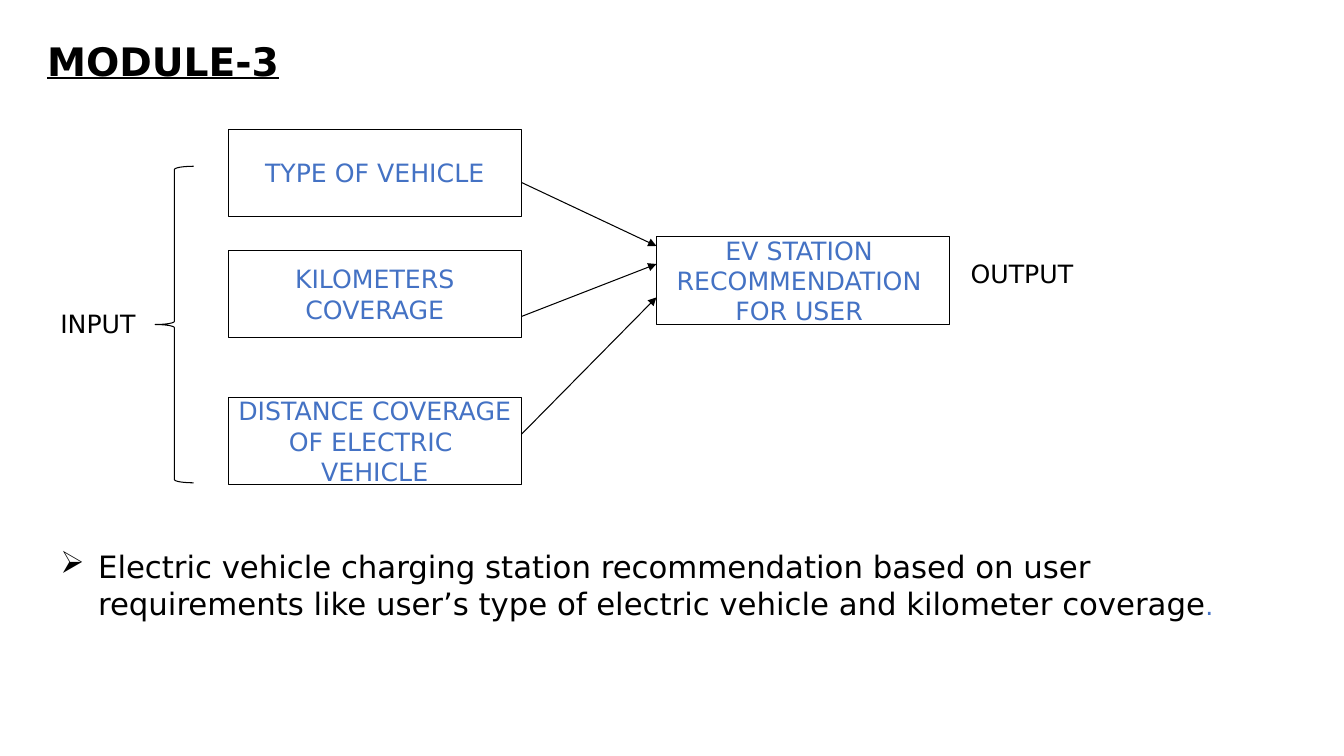
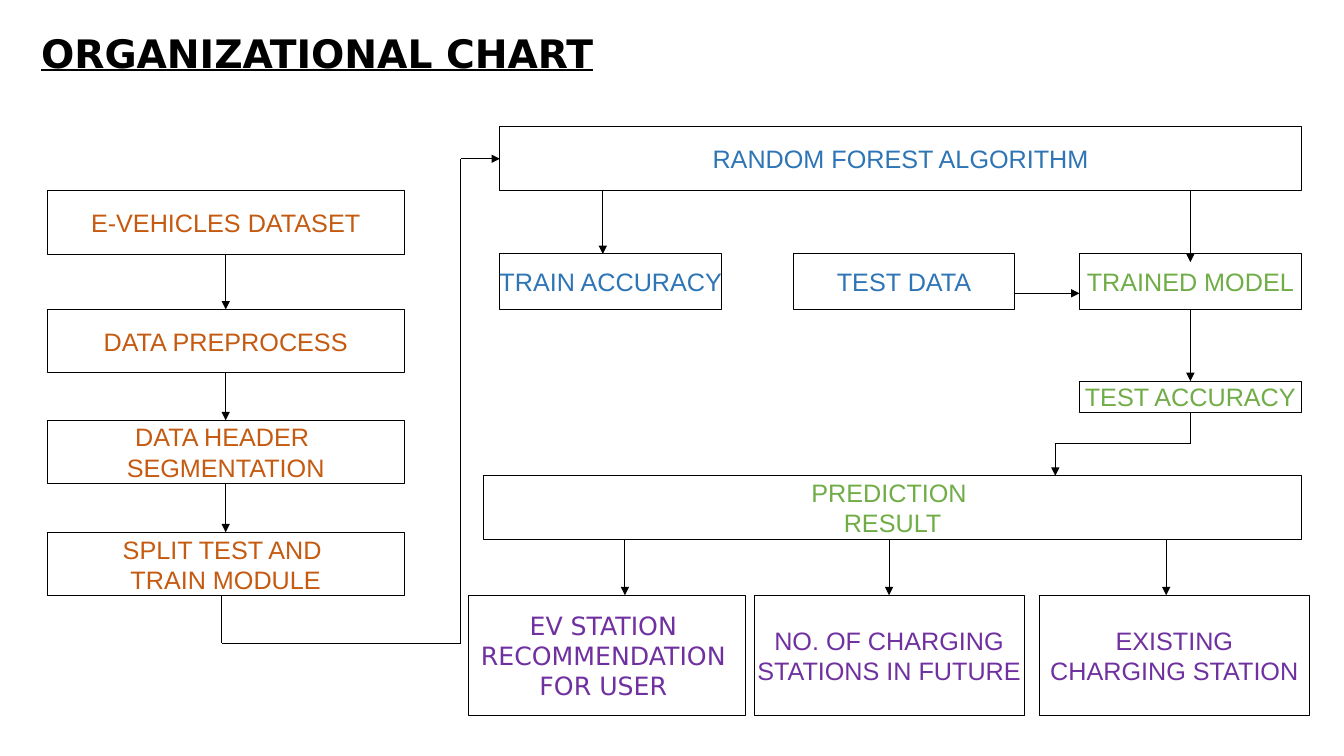
from itertools import pairwise

from lxml.etree import SubElement
from pptx import Presentation
from pptx.dml.color import RGBColor
from pptx.enum.shapes import MSO_CONNECTOR as Link, MSO_SHAPE as Preset
from pptx.enum.text import MSO_ANCHOR as Anchor, PP_ALIGN as Align
from pptx.oxml.ns import qn
from pptx.util import Pt

BLACK, WHITE = "000000", "FFFFFF"
BLUE, AZURE, ORANGE, GREEN, PURPLE = "4472C4", "2E75B6", "C55A11", "70AD47", "7030A0"
SANS, ARIAL = "DejaVu Sans", "Arial"
TITLE = {"name": SANS, "size": Pt(28), "bold": True, "underline": True}
LABEL = {"name": SANS, "size": Pt(18)}
CHART = {"name": ARIAL, "size": Pt(18)}
BODY = {"name": SANS, "size": Pt(22)}
TOP, LEFT, BOTTOM, RIGHT = range(4)


def rgb(code):
    """Turn a hex string into a colour."""
    return RGBColor.from_string(code)


def write(paragraph, words, style, colour=BLACK):
    """Add one formatted run to a paragraph."""
    run = paragraph.add_run()
    run.text = words
    for attribute, value in style.items():
        setattr(run.font, attribute, value)
    run.font.color.rgb = rgb(colour)


def add_text(slide, place, words, style):
    """Add a wrapping text box and return its paragraph."""
    frame = slide.shapes.add_textbox(*map(Pt, place)).text_frame
    frame.word_wrap = True
    write(frame.paragraphs[0], words, style)
    return frame.paragraphs[0]


def add_bullet(paragraph, mark, indent):
    """Give a paragraph a hanging bullet."""
    properties = paragraph._p.get_or_add_pPr()
    properties.set("marL", str(Pt(indent)))
    properties.set("indent", str(-Pt(indent)))
    SubElement(properties, qn("a:buChar"), char=mark)


def outline(slide, preset, place):
    """Add a preset shape with a thin black line and no shadow."""
    shape = slide.shapes.add_shape(preset, *map(Pt, place))
    shape.shadow.inherit = False
    shape.line.color.rgb = rgb(BLACK)
    shape.line.width = Pt(0.75)
    return shape


def add_box(slide, place, lines, colour, style=CHART):
    """Add a white box with centred lines of text."""
    box = outline(slide, Preset.RECTANGLE, place)
    box.fill.solid()
    box.fill.fore_color.rgb = rgb(WHITE)
    frame = box.text_frame
    frame.word_wrap = False
    frame.vertical_anchor = Anchor.MIDDLE
    for index, words in enumerate(lines.split("\n")):
        paragraph = frame.add_paragraph() if index else frame.paragraphs[0]
        paragraph.alignment = Align.CENTER
        write(paragraph, words, style, colour)
    return box


def add_route(slide, *stops):
    """Link points or (box, side) pairs with lines, ending in an arrowhead."""
    for start, end in pairwise(stops):
        joins_start, joins_end = (hasattr(stop[0], "text_frame") for stop in (start, end))
        begin = end if joins_start else start
        finish = begin if joins_end else end
        if joins_start and joins_end:
            begin = finish = (0, 0)
        link = slide.shapes.add_connector(Link.STRAIGHT, *map(Pt, (*begin, *finish)))
        if joins_start:
            link.begin_connect(*start)
        if joins_end:
            link.end_connect(*end)
        link.line.color.rgb = rgb(BLACK)
        link.line.width = Pt(0.75)
        SubElement(link._element.spPr, qn("a:effectLst"))
    SubElement(link.line._get_or_add_ln(), qn("a:tailEnd"), type="triangle")


def build_module(slide):
    """Draw the inputs that lead to a station recommendation."""
    add_text(slide, (26.6, 23, 907, 62.6), "MODULE-3", TITLE)
    width, height, input_left, output_left = 209.5, 62.6, 162.9, 468.9
    inputs = (
        (92.2, "TYPE OF VEHICLE", 130.3, 175.7),
        (178.6, "KILOMETERS\nCOVERAGE", 226.1, 188.6),
        (283.7, "DISTANCE COVERAGE\nOF ELECTRIC \nVEHICLE", 310.3, 212.4),
    )
    add_box(slide, (output_left, 169.2, width, height),
            "EV STATION \nRECOMMENDATION \nFOR USER ", BLUE, LABEL)
    for top, lines, exit_y, entry_y in inputs:
        add_box(slide, (input_left, top, width, height), lines, BLUE, LABEL)
        add_route(slide, (input_left + width, exit_y), (output_left, entry_y))
    outline(slide, Preset.LEFT_BRACE, (110.9, 118.8, 27.4, 226.1)).fill.background()
    add_text(slide, (36, 216.7, 90.7, 28.8), "INPUT", LABEL)
    add_text(slide, (686.2, 180.7, 90.7, 28.8), "OUTPUT", LABEL)
    summary = add_text(
        slide, (36, 387.4, 866.2, 60.5),
        "Electric vehicle charging station recommendation based on user requirements "
        "like user’s type of electric vehicle and kilometer coverage", BODY)
    write(summary, ".", LABEL, BLUE)
    add_bullet(summary, "➢", 27)


def build_chart(slide):
    """Draw the flow from dataset to prediction results."""
    add_text(slide, (22.3, 17.3, 923.8, 56.9), "ORGANIZATIONAL CHART", TITLE)
    bar, row_top, row_height, cell = 45.4, 181.4, 39.6, 158.4
    steps = [
        add_box(slide, (33.8, top, 254.9, bar), lines, ORANGE)
        for top, lines in (
            (136.1, "E-VEHICLES DATASET"),
            (221, "DATA PREPROCESS"),
            (300.2, "DATA HEADER \nSEGMENTATION"),
            (380.2, "SPLIT TEST AND \nTRAIN MODULE"),
        )
    ]
    for upper, lower in pairwise(steps):
        add_route(slide, (upper, BOTTOM), (lower, TOP))

    forest = add_box(slide, (357.1, 90.7, 572.4, bar), "RANDOM FOREST ALGORITHM", AZURE)
    _, _, trained = [
        add_box(slide, (left, row_top, cell, row_height), lines, colour)
        for left, lines, colour in (
            (357.1, "TRAIN ACCURACY", AZURE),
            (566.6, "TEST DATA", AZURE),
            (771.1, "TRAINED MODEL", GREEN),
        )
    ]
    accuracy = add_box(slide, (771.1, 272.2, cell, 22.3), "TEST ACCURACY", GREEN)
    add_box(slide, (345.6, 339.8, 583.9, bar), "PREDICTION \nRESULT", GREEN)

    forest_bottom, model_x = 136.1, 850.3
    add_route(slide, (158.4, 425.6), (158.4, 459.4), (329, 459.4), (329, 113.4), (forest, LEFT))
    add_route(slide, (430.6, forest_bottom), (430.6, row_top))
    add_route(slide, (model_x, forest_bottom), (model_x, 187.2))
    add_route(slide, (725, 209.5), (771.1, 209.5))
    add_route(slide, (trained, BOTTOM), (accuracy, TOP))
    add_route(slide, (accuracy, BOTTOM), (model_x, 317), (753.8, 317), (753.8, 339.8))

    prediction_bottom, result_top = 385.2, 425.2
    results = (
        (334.8, 198, "EV STATION \nRECOMMENDATION \nFOR USER ", LABEL, 446.4),
        (538.6, 193, "NO. OF CHARGING\nSTATIONS IN FUTURE", CHART, None),
        (742.3, 193, "EXISTING\nCHARGING STATION", CHART, 833),
    )
    for left, width, lines, style, arrow_x in results:
        result = add_box(slide, (left, result_top, width, 85.7), lines, PURPLE, style)
        if arrow_x is None:
            add_route(slide, (left + width / 2, prediction_bottom), (result, TOP))
        else:
            add_route(slide, (arrow_x, prediction_bottom), (arrow_x, result_top))


def main():
    """Build both slides and save the deck."""
    deck = Presentation()
    deck.slide_width, deck.slide_height = Pt(960), Pt(540)
    for build in (build_module, build_chart):
        build(deck.slides.add_slide(deck.slide_layouts[6]))
    deck.save("out.pptx")


if __name__ == "__main__":
    main()
